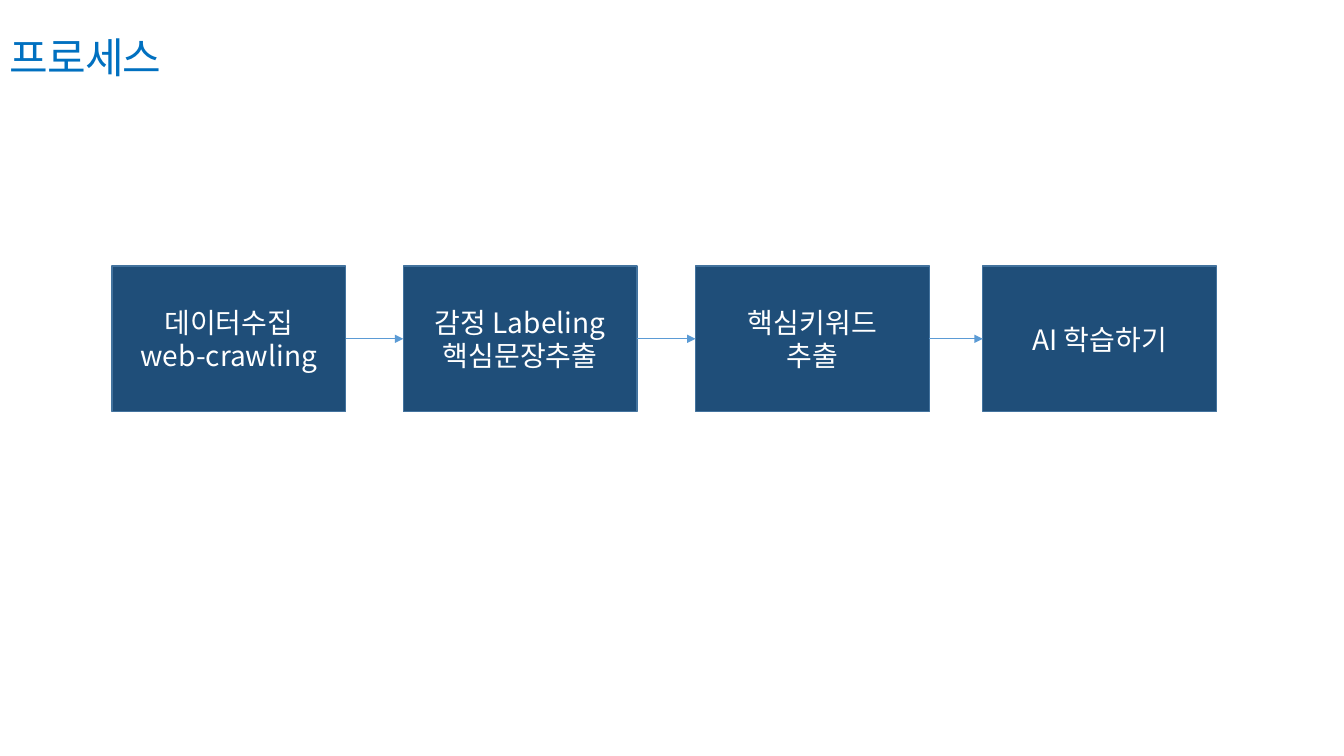
from dataclasses import dataclass
from itertools import pairwise

from lxml import etree
from pptx import Presentation
from pptx.dml.color import RGBColor
from pptx.enum.shapes import MSO_CONNECTOR, MSO_SHAPE
from pptx.enum.text import MSO_ANCHOR, PP_ALIGN
from pptx.oxml.ns import qn
from pptx.util import Pt

RECTANGLE = MSO_SHAPE.RECTANGLE
STRAIGHT = MSO_CONNECTOR.STRAIGHT
MIDDLE = MSO_ANCHOR.MIDDLE
LEFT, CENTER = PP_ALIGN.LEFT, PP_ALIGN.CENTER
RIGHT_SITE, LEFT_SITE = 3, 1


@dataclass(frozen=True)
class Theme:
    heading: RGBColor = RGBColor(0x00, 0x70, 0xC0)
    step_fill: RGBColor = RGBColor(0x1F, 0x4E, 0x79)
    step_line: RGBColor = RGBColor(0x43, 0x73, 0x9E)
    step_text: RGBColor = RGBColor(0xFF, 0xFF, 0xFF)
    arrow: RGBColor = RGBColor(0x5B, 0x9B, 0xD5)
    heading_font: str = "Arial"
    step_font: str = "Noto Sans CJK KR"
    heading_size: int = 30
    step_size: int = 20


THEME = Theme()

# Left offset within the flow, and wording (\v breaks a line, \n a paragraph)
STEPS = [
    (0, "데이터수집\vweb-crawling"),
    (208, "감정 Labeling\n핵심문장추출"),
    (416.8, "핵심키워드\v추출"),
    (622, "AI 학습하기"),
]
STEP_WIDTH = 167


def style_text(frame, font_name, size, color, align):
    for paragraph in frame.paragraphs:
        paragraph.alignment = align
        font = paragraph.font
        font.name, font.size, font.color.rgb = font_name, Pt(size), color
        # Hangul takes its typeface from the East Asian slot
        defaults = paragraph._p.find(".//" + qn("a:defRPr"))
        etree.SubElement(defaults, qn("a:ea"), typeface=font_name)


def add_heading(slide, left, top, width, height):
    heading = slide.shapes.add_textbox(Pt(left), Pt(top), Pt(width), Pt(height))
    frame = heading.text_frame
    frame.word_wrap = True
    frame.text = "프로세스"
    style_text(frame, THEME.heading_font, THEME.heading_size, THEME.heading, LEFT)
    # Tighten letter spacing by 0.7 pt
    frame.paragraphs[0].runs[0].font._element.set("spc", "-70")


def add_step(slide, wording, left, top, width, height):
    step = slide.shapes.add_shape(RECTANGLE, Pt(left), Pt(top), Pt(width), Pt(height))
    step.shadow.inherit = False
    step.fill.solid()
    step.fill.fore_color.rgb = THEME.step_fill
    step.line.color.rgb = THEME.step_line
    step.line.width = Pt(1)
    frame = step.text_frame
    frame.word_wrap = True
    frame.vertical_anchor = MIDDLE
    frame.text = wording
    style_text(frame, THEME.step_font, THEME.step_size, THEME.step_text, CENTER)
    return step


def add_arrow(slide, source, target):
    arrow = slide.shapes.add_connector(STRAIGHT, 0, 0, 0, 0)
    arrow.begin_connect(source, RIGHT_SITE)
    arrow.end_connect(target, LEFT_SITE)
    arrow.line.color.rgb = THEME.arrow
    arrow.line.width = Pt(0.5)
    etree.SubElement(arrow.line._get_or_add_ln(), qn("a:tailEnd"), type="triangle")
    etree.SubElement(arrow._element.spPr, qn("a:effectLst"))


def add_process_flow(slide, left, top, height):
    steps = [
        add_step(slide, wording, left + offset, top, STEP_WIDTH, height)
        for offset, wording in STEPS
    ]
    for source, target in pairwise(steps):
        add_arrow(slide, source, target)


presentation = Presentation()
presentation.slide_width, presentation.slide_height = Pt(960), Pt(540)
process_slide = presentation.slides.add_slide(presentation.slide_layouts[6])

# Heading across the top
add_heading(process_slide, 0, 18.72, 960, 44)

# Four linked steps
add_process_flow(process_slide, 80, 190, 104)

presentation.save("out.pptx")
